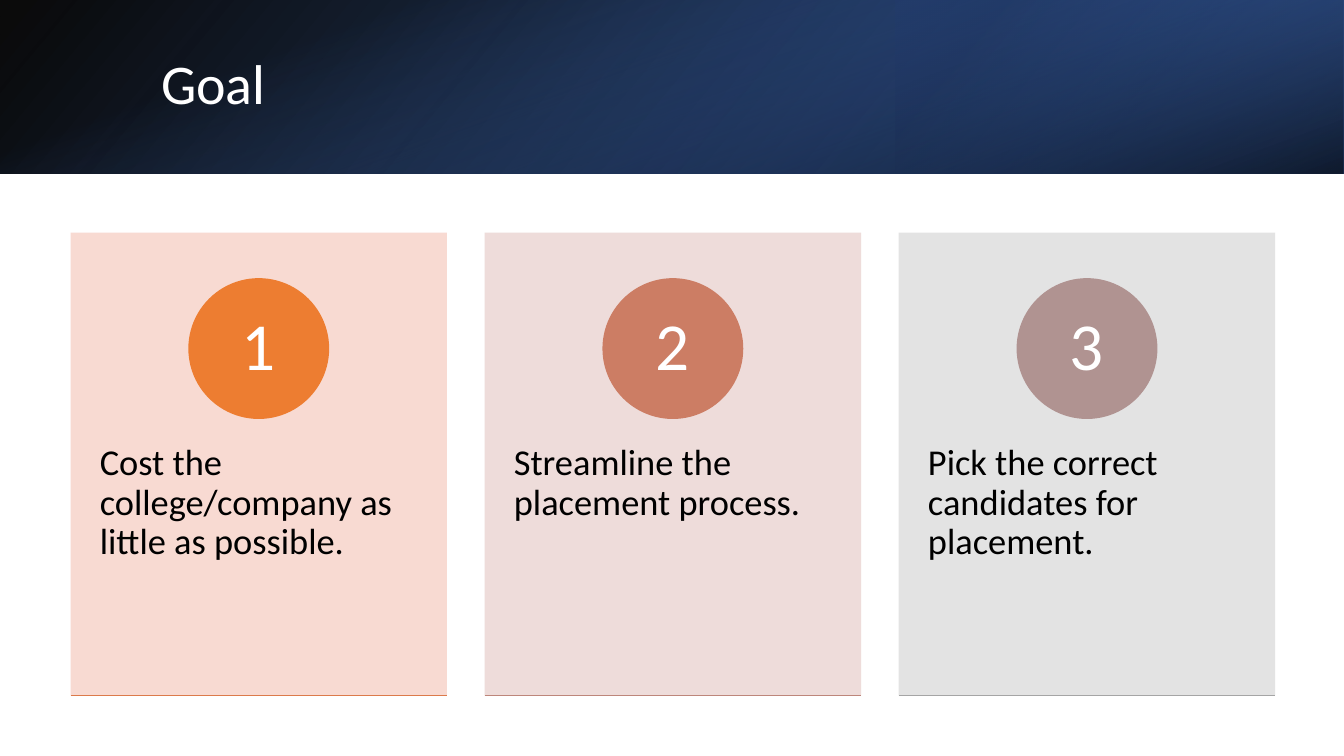
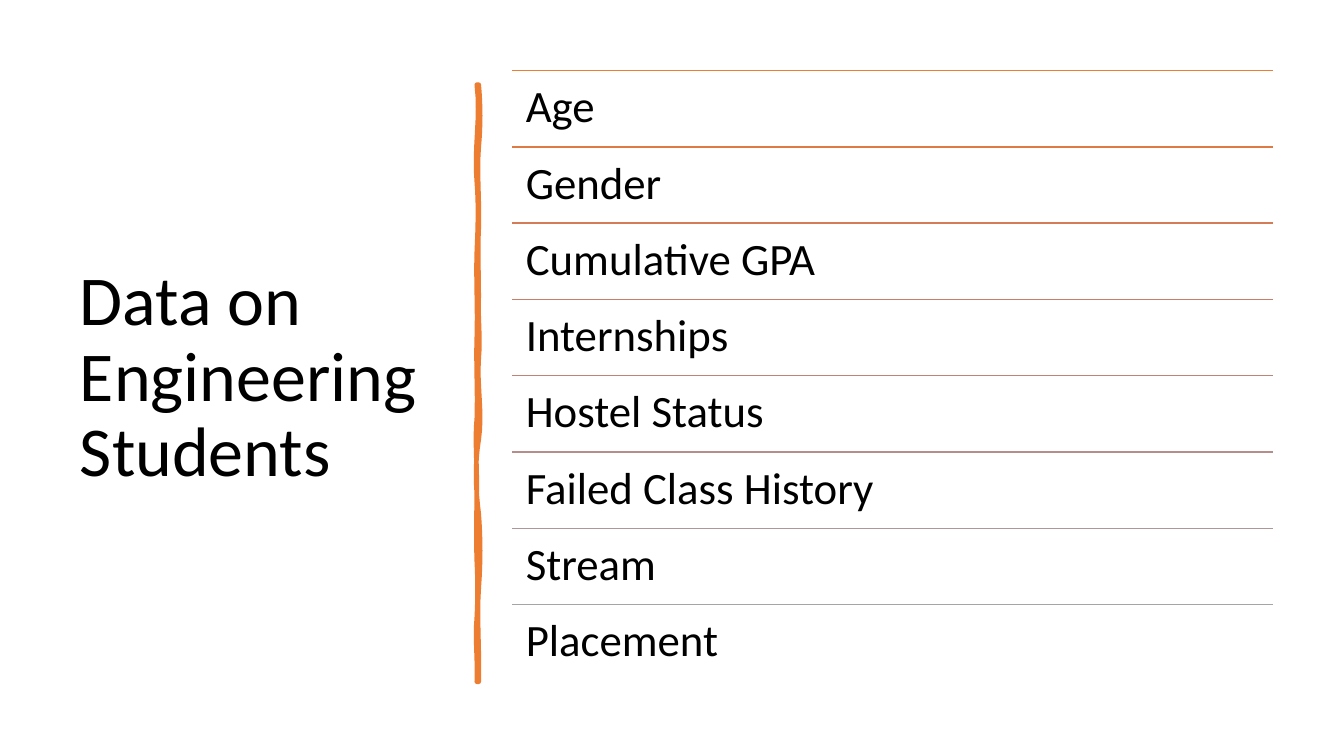
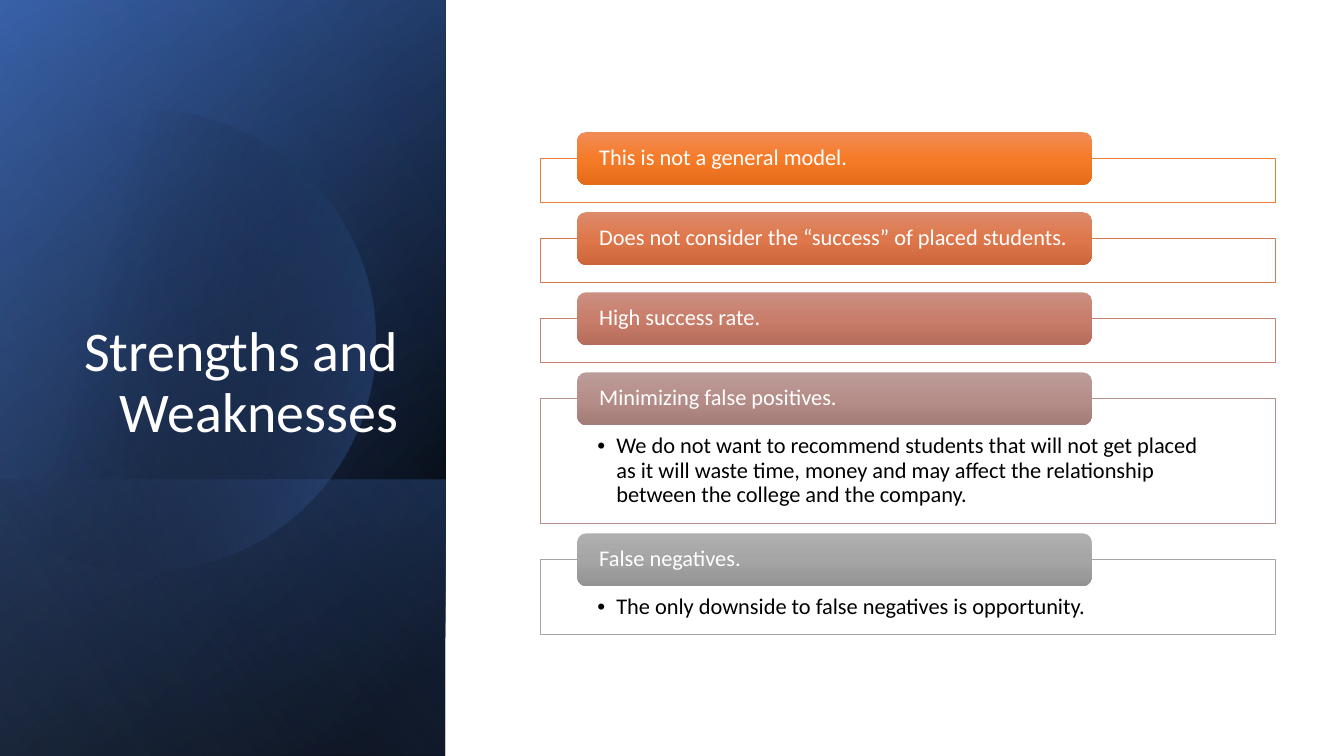
"""Build three slides on the goal, data and strengths of a placement model."""
from dataclasses import dataclass
from math import cos, pi, sin

from lxml.etree import SubElement
from pptx import Presentation
from pptx.dml.color import RGBColor
from pptx.enum.shapes import MSO_CONNECTOR, MSO_SHAPE
from pptx.enum.text import MSO_ANCHOR, PP_ALIGN
from pptx.oxml.ns import qn
from pptx.util import Pt


@dataclass(frozen=True)
class Theme:
    font: str = "Calibri"
    black: str = "000000"
    white: str = "FFFFFF"
    navy: str = "2F5597"
    deep: str = "203864"
    blue: str = "4472C4"
    pale: str = "8FAADC"
    orange: str = "ED7D31"
    title: int = 40
    large_title: int = 50
    number: int = 48
    card: int = 26
    row: int = 32
    item: int = 16


THEME = Theme()
WIDTH, HEIGHT = 960, 540
MARGIN = 50.4
PANEL_WIDTH = 318.2
PANEL_BOX = (0, 0, PANEL_WIDTH, HEIGHT)

GOALS = [
    ("Cost the college/company as little as possible.", "F8D7CE", "ED7D31", "DC7A4B"),
    ("Streamline the placement process.", "EDD9D7", "CC7D64", "BD867B"),
    ("Pick the correct candidates for placement.", "E1E1E1", "B09391", "A5A5A5"),
]
STUDENT_DATA = [
    ("Age", "ED7D31"),
    ("Gender", "E07A44"),
    ("Cumulative GPA", "D57B56"),
    ("Internships", "CA7E67"),
    ("Hostel Status", "BF8478"),
    ("Failed Class History", "B68D88"),
    ("Stream", "AD9897"),
    ("Placement", "A5A5A5"),
]
POINTS = [
    ("This is not a general model.", "", 31.5, "ED7D31", ("F18C57", "F67B28", "E56C19")),
    ("Does not consider the “success” of placed students.", "", 31.5, "D87A51",
     ("DD8A6A", "DE774B", "CD673B")),
    ("High success rate.", "", 31.5, "C48170", ("CB8F81", "C97E6B", "B76D5B")),
    ("Minimizing false positives.",
     "We do not want to recommend students that will not get placed as it will waste time, "
     "money and may affect the relationship between the college and the company.",
     89.3, "B4908B", ("BC9C99", "B68E89", "A47C78")),
    ("False negatives.", "The only downside to false negatives is opportunity.",
     53.3, "A5A5A5", ("AFAFAF", "A5A5A5", "939393")),
]
HEADER_LAYERS = [
    ((0, 0, WIDTH, 124), 40, [(0, THEME.black, 96), (100, THEME.navy, 100)]),
    ((640, 0, 320, 124), 40, [(19, THEME.deep, 68), (100, THEME.blue, 79)]),
    ((0, 0, WIDTH, 124), 70, [(23, THEME.blue, 0), (99, THEME.black, 74)]),
]
PANEL_LAYERS = [
    (PANEL_BOX, 220, [(8, THEME.black, 100), (100, THEME.navy, 100)]),
    (PANEL_BOX, 240, [(0, THEME.black, 0), (99, THEME.blue, 46)]),
    ((0, 342.8, PANEL_WIDTH, 197.2), 140, [(2, THEME.blue, 29), (100, THEME.black, 30)]),
]
PANEL_SHEEN = (PANEL_BOX, 150, [(0, THEME.black, 0), (99, THEME.pale, 11)])
DISC_STOPS = [(29, THEME.black, 0), (100, THEME.blue, 43)]

RIGHT_EDGE = (342, [60.5, 105, 163, 212, 256, 314, 367, 420, 487],
              [(1.4, 1.4), (-1.4, 0.7), (-0.7, 0), (-0.7, 1.4),
               (-1.4, 2.9), (-2.9, -2.2), (1.4, 1.4), (-1.4, 0.7)])
LEFT_EDGE = (340.6, [487, 441, 401, 343, 299, 241, 180, 130, 60.5],
             [(0.7, -1.4), (0.7, 0.7), (-0.7, 0), (0, -1.4),
              (0.7, -0.7), (0.7, -0.7), (0.7, 1.4), (-2.2, 2.9)])


def points(values):
    return [Pt(value) for value in values]


def fill_solid(shape, color, opacity=100):
    shape.fill.solid()
    shape.fill.fore_color.rgb = RGBColor.from_string(color)
    if opacity < 100:
        color_node = shape.fill._xPr.find(qn("a:solidFill"))[0]
        SubElement(color_node, qn("a:alpha"), val=str(opacity * 1000))


def fill_gradient(shape, angle, stops):
    shape.fill.gradient()
    gradient = shape.fill._xPr.find(qn("a:gradFill"))
    for child in list(gradient):
        gradient.remove(child)
    stop_list = SubElement(gradient, qn("a:gsLst"))
    for position, color, opacity in stops:
        stop = SubElement(stop_list, qn("a:gs"), pos=str(position * 1000))
        color_node = SubElement(stop, qn("a:srgbClr"), val=color)
        if opacity < 100:
            SubElement(color_node, qn("a:alpha"), val=str(opacity * 1000))
    SubElement(gradient, qn("a:lin"), ang=str(angle * 60000), scaled="0")


def set_line(shape, color=None, width=1):
    if color is None:
        shape.line.fill.background()
    else:
        shape.line.color.rgb = RGBColor.from_string(color)
        shape.line.width = Pt(width)


def add_box(slide, kind, box):
    shape = slide.shapes.add_shape(kind, *points(box))
    shape.shadow.inherit = False
    set_line(shape)
    return shape


def add_rule(slide, left, top, width, color):
    rule = slide.shapes.add_connector(
        MSO_CONNECTOR.STRAIGHT, *points((left, top, left + width, top)))
    set_line(rule, color)
    SubElement(rule._element.spPr, qn("a:effectLst"))


def add_outline(slide, outline):
    corners = [tuple(points(corner)) for corner in outline]
    builder = slide.shapes.build_freeform(*corners[0], scale=1.0)
    builder.add_line_segments(corners[1:], close=True)
    shape = builder.convert_to_shape()
    shape.shadow.inherit = False
    set_line(shape)
    return shape


def write(shape, text, size, color=THEME.black, align=PP_ALIGN.LEFT,
          anchor=MSO_ANCHOR.TOP, insets=(7.2, 3.6, 7.2, 3.6)):
    frame = shape.text_frame
    frame.text = text
    frame.word_wrap = True
    frame.vertical_anchor = anchor
    (frame.margin_left, frame.margin_top,
     frame.margin_right, frame.margin_bottom) = points(insets)
    paragraph = frame.paragraphs[0]
    paragraph.alignment = align
    paragraph.line_spacing = 0.9
    font = paragraph.runs[0].font
    font.name, font.size = THEME.font, Pt(size)
    font.color.rgb = RGBColor.from_string(color)
    return paragraph


def add_bullet(paragraph, indent):
    properties = paragraph._p.get_or_add_pPr()
    properties.set("marL", str(Pt(indent)))
    properties.set("indent", str(-Pt(indent)))
    SubElement(properties, qn("a:buFont"), typeface="Arial")
    SubElement(properties, qn("a:buChar"), char="•")


def add_title(slide, text, box, size=THEME.title, **style):
    write(slide.shapes.add_textbox(*points(box)), text, size, **style)


def add_layer(slide, box, angle, stops):
    fill_gradient(add_box(slide, MSO_SHAPE.RECTANGLE, box), angle, stops)


def wavy_edge(base, knots, pulls, steps=8):
    edge = []
    for start, end, (first, second) in zip(knots, knots[1:], pulls):
        for step in range(steps):
            t = step / steps
            offset = 3 * t * (1 - t) * ((1 - t) * first + t * second)
            edge.append((base + offset, start + t * (end - start)))
    return edge + [(base, knots[-1])]


def build_goal(slide):
    for layer in HEADER_LAYERS:
        add_layer(slide, *layer)
    add_title(slide, "Goal", (108, 27.4, 790.6, 69.1),
              color=THEME.white, anchor=MSO_ANCHOR.MIDDLE)
    top, width, height, pitch, diameter = 166.2, 268.9, 330.5, 295.8, 99.6
    for index, (text, tint, accent, underline) in enumerate(GOALS):
        left = MARGIN + index * pitch
        card = add_box(slide, MSO_SHAPE.RECTANGLE, (left, top, width, height))
        fill_solid(card, tint, 90)
        write(card, text, THEME.card, insets=(20.9, 151.2, 20.9, 26))
        circle = add_box(slide, MSO_SHAPE.OVAL, (
            left + (width - diameter) / 2, top + 33, diameter, diameter))
        fill_solid(circle, accent)
        set_line(circle, accent)
        write(circle, str(index + 1), THEME.number, THEME.white,
              PP_ALIGN.CENTER, MSO_ANCHOR.MIDDLE, (7.8, 0.8, 7.8, 0.8))
        add_rule(slide, left, top + height, width, underline)


def build_student_data(slide):
    add_title(slide, "Data on Engineering Students", (50, MARGIN, 269, 440),
              THEME.large_title, anchor=MSO_ANCHOR.MIDDLE)
    divider = add_outline(slide, wavy_edge(*RIGHT_EDGE) + wavy_edge(*LEFT_EDGE))
    fill_solid(divider, THEME.orange)
    set_line(divider, THEME.orange, 3.25)
    left, width, pitch = 366, 543.4, 54.5
    for index, (text, color) in enumerate(STUDENT_DATA):
        top = MARGIN + index * pitch
        add_rule(slide, left, top, width, color)
        row = slide.shapes.add_textbox(*points((left, top, width, pitch)))
        write(row, text, THEME.row, insets=(9.6, 9.6, 9.6, 9.6))


def build_strengths(slide):
    for layer in PANEL_LAYERS:
        add_layer(slide, *layer)
    center_x, center_y, radius, count = 103, 243.5, 165, 120
    angles = [2 * pi * step / count for step in range(count)]
    disc = add_outline(slide, [
        (max(0, center_x + radius * cos(angle)), center_y + radius * sin(angle))
        for angle in angles])
    fill_gradient(disc, 14, DISC_STOPS)
    add_layer(slide, *PANEL_SHEEN)
    add_title(slide, "Strengths and Weaknesses", (46, 132.5, 245.5, 188.6),
              color=THEME.white, align=PP_ALIGN.RIGHT, anchor=MSO_ANCHOR.BOTTOM)
    left, width, top, gap = 386, 525, 113.2, 25.7
    pill_left, pill_width, pill_height = left + 26.3, 367.5, 37.6
    for heading, detail, height, color, shades in POINTS:
        frame = add_box(slide, MSO_SHAPE.RECTANGLE, (left, top, width, height))
        fill_solid(frame, THEME.white, 90)
        set_line(frame, color, 0.5)
        if detail:
            paragraph = write(frame, detail, THEME.item, insets=(40.8, 25.7, 40.8, 8.6))
            add_bullet(paragraph, 13.5)
        pill = add_box(slide, MSO_SHAPE.ROUNDED_RECTANGLE, (
            pill_left, top - pill_height / 2, pill_width, pill_height))
        fill_gradient(pill, 90, [
            (position, shade, 100) for position, shade in zip((0, 50, 100), shades)])
        write(pill, heading, THEME.item, THEME.white,
              anchor=MSO_ANCHOR.MIDDLE, insets=(13.9, 0, 13.9, 0))
        top += height + gap


def main():
    presentation = Presentation()
    presentation.slide_width, presentation.slide_height = Pt(WIDTH), Pt(HEIGHT)
    for build in (build_goal, build_student_data, build_strengths):
        build(presentation.slides.add_slide(presentation.slide_layouts[6]))
    presentation.save("out.pptx")


if __name__ == "__main__":
    main()
